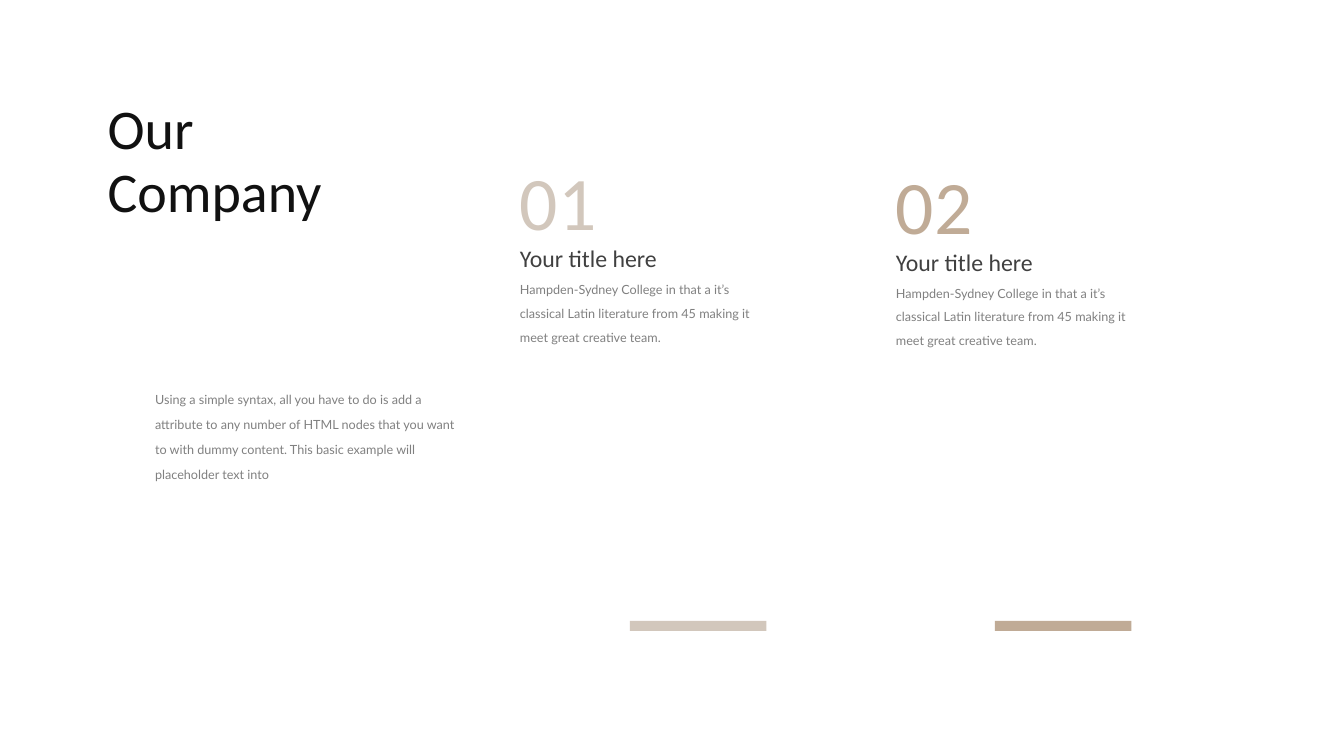
from pptx import Presentation
from pptx.dml.color import RGBColor
from pptx.enum.shapes import MSO_SHAPE
from pptx.enum.text import MSO_ANCHOR, MSO_AUTO_SIZE
from pptx.util import Pt

RECTANGLE = MSO_SHAPE.RECTANGLE
TOP, MIDDLE = MSO_ANCHOR.TOP, MSO_ANCHOR.MIDDLE
GROW = MSO_AUTO_SIZE.SHAPE_TO_FIT_TEXT

HEADING = ["Our", "Company"]
INTRO = [
    "Using a simple syntax, all you have to do is add a attribute to any "
    "number of HTML nodes that you want to with dummy content. This basic "
    "example will placeholder text into"
]
ITEM_TITLE = "Your title here"
ITEM_BODY = [
    "Hampden-Sydney College in that a it’s",
    "classical Latin literature from 45 making it meet great creative team.",
]
# number, colour, column left, column top, bar left
ITEMS = [
    ("01", "D2C7BC", 364.3, 107.3, 450),
    ("02", "C0AB96", 632.9, 109.8, 710.6),
]
HEADING_COLOUR, TITLE_COLOUR, BODY_COLOUR = "111111", "404040", "808080"
BAR_TOP, BAR_WIDTH, BAR_HEIGHT = 443.5, 97.5, 7.2
COLUMN_WIDTH = 180.7
TITLE_OFFSET, BODY_OFFSET = 63.3, 84.4


def colour(hex_string):
    return RGBColor.from_string(hex_string)


def add_text(shapes, box, lines, size, font_name, hex_string,
             spacing=None, anchor=TOP, wrap=True):
    """Add a text box with one paragraph per line; spacing is in points."""
    text_box = shapes.add_textbox(*(Pt(length) for length in box))
    frame = text_box.text_frame
    frame.word_wrap = wrap
    frame.auto_size = GROW
    frame.vertical_anchor = anchor
    frame.text = "\n".join(lines)
    for paragraph in frame.paragraphs:
        if spacing:
            paragraph.line_spacing = Pt(spacing)
        paragraph.font.size = Pt(size)
        paragraph.font.name = font_name
        paragraph.font.color.rgb = colour(hex_string)


def add_bar(shapes, left, hex_string):
    bar = shapes.add_shape(RECTANGLE, Pt(left), Pt(BAR_TOP),
                           Pt(BAR_WIDTH), Pt(BAR_HEIGHT))
    bar.shadow.inherit = False
    bar.fill.solid()
    bar.fill.fore_color.rgb = colour(hex_string)
    bar.line.fill.background()


def add_item(shapes, number, hex_string, left, top):
    """Add a grouped column: large number, title and body text."""
    group = shapes.add_group_shape().shapes
    add_text(group, (left, top + TITLE_OFFSET, COLUMN_WIDTH, 28),
             [ITEM_TITLE], 17, "Calibri", TITLE_COLOUR)
    add_text(group, (left, top + BODY_OFFSET, COLUMN_WIDTH, 56.2),
             ITEM_BODY, 9, "Lato", BODY_COLOUR, spacing=17)
    add_text(group, (left, top, 69.1, 72.7), [number], 54, "Calibri",
             hex_string, wrap=False)


def main():
    presentation = Presentation()
    presentation.slide_width, presentation.slide_height = Pt(960), Pt(540)
    slide = presentation.slides.add_slide(presentation.slide_layouts[6])
    shapes = slide.shapes

    for _, hex_string, _, _, bar_left in ITEMS:
        add_bar(shapes, bar_left, hex_string)
    add_text(shapes, (69.8, 66.2, 315.4, 97.9), HEADING, 40, "Calibri",
             HEADING_COLOUR, spacing=45)
    for number, hex_string, left, top, _ in ITEMS:
        add_item(shapes, number, hex_string, left, top)
    add_text(shapes, (103.7, 270, 229.7, 77), INTRO, 9, "Lato", BODY_COLOUR,
             spacing=18, anchor=MIDDLE)

    presentation.save("out.pptx")


if __name__ == "__main__":
    main()
